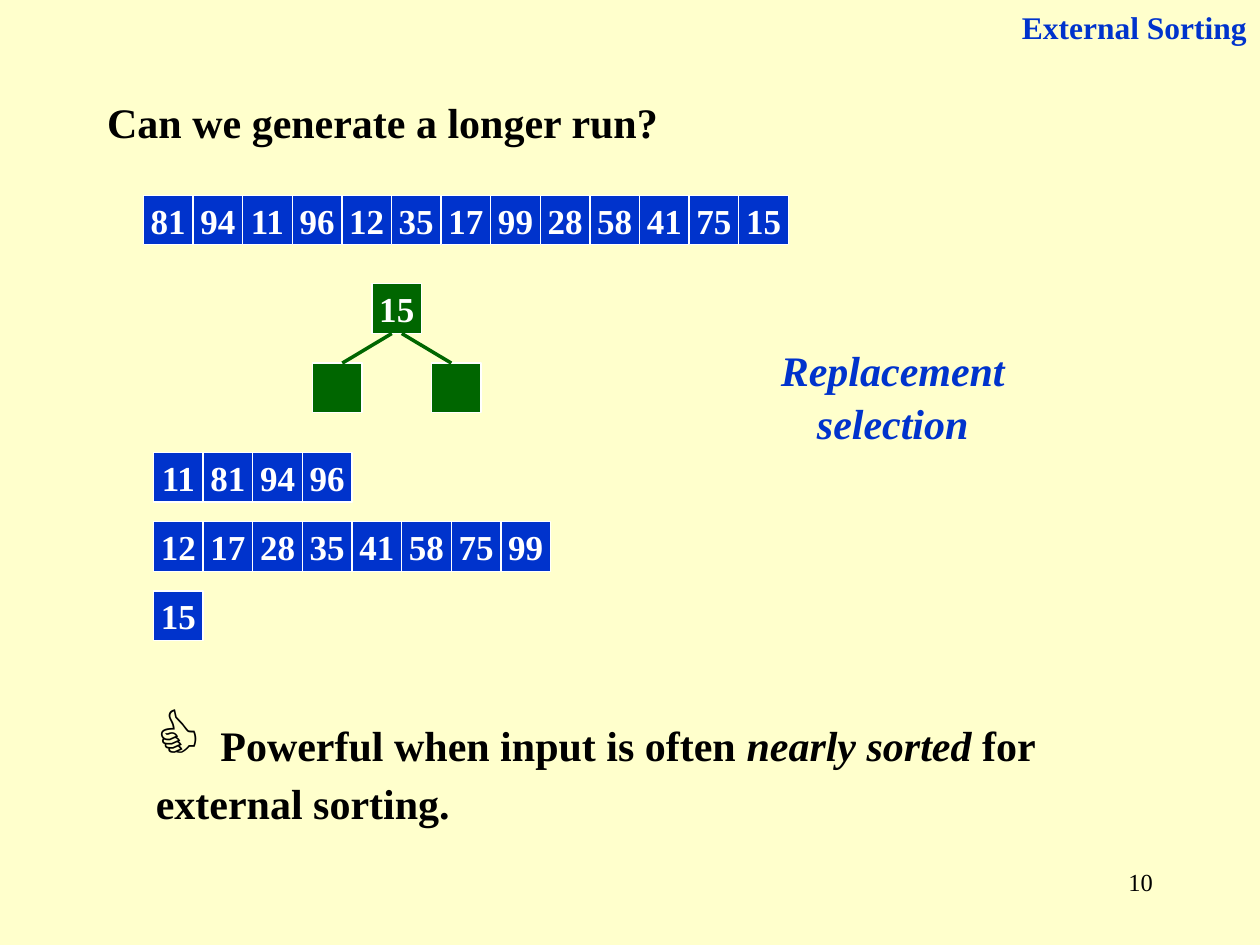
from dataclasses import dataclass

from pptx import Presentation
from pptx.dml.color import RGBColor
from pptx.enum.shapes import MSO_CONNECTOR as Wire, MSO_SHAPE as Kind
from pptx.enum.text import MSO_ANCHOR as Anchor, MSO_AUTO_SIZE as Fit, PP_ALIGN as Align
from pptx.oxml.ns import qn
from pptx.util import Pt
from lxml.etree import SubElement

BLUE, GREEN, WHITE, BLACK = "0033CC", "006600", "FFFFFF", "000000"
CELL = 28.35


@dataclass
class Row:
    left: float
    top: float
    keys: list[str]
    fill: str = BLUE


@dataclass
class Edge:
    start: tuple[float, float]
    end: tuple[float, float]


ROWS = [
    Row(82, 111.6, "81 94 11 96 12 35 17 99 28 58 41 75 15".split()),
    Row(87.8, 258.5, "11 81 94 96".split()),
    Row(87.8, 298.1, "12 17 28 35 41 58 75 99".split()),
    Row(87.8, 337.7, ["15"]),
    Row(212.6, 162.2, ["15"], GREEN),
    Row(178.6, 207.5, [""], GREEN),
    Row(246.6, 207.5, [""], GREEN),
]
EDGES = [
    Edge((223.9, 190.6), (195.6, 207.5)),
    Edge((229.6, 190.6), (257.9, 207.5)),
]


def paint(format, color: str) -> None:
    """Give a fill or line one solid colour."""
    fill = getattr(format, "fill", format)
    fill.solid()
    fill.fore_color.rgb = RGBColor.from_string(color)


def write(shape, text: str, *, size: float = 24, color: str = BLACK, bold: bool = True,
          italic: bool = False, align=Align.LEFT, space: float = 1.05) -> None:
    """Add a run of formatted text to the first paragraph of a shape."""
    para = shape.text_frame.paragraphs[0]
    para.alignment = align
    para.line_spacing = space
    run = para.add_run()
    run.text = text
    font = run.font
    font.name = "Times New Roman"
    font.size = Pt(size)
    font.bold = bold
    font.italic = italic
    paint(font, color)


def place(shape, left: float, top: float, width: float, height: float):
    """Put a shape in place and set its frame to wrap from the top."""
    shape.left, shape.top = Pt(left), Pt(top)
    shape.width, shape.height = Pt(width), Pt(height)
    frame = shape.text_frame
    frame.word_wrap = True
    frame.auto_size = Fit.NONE
    frame.vertical_anchor = Anchor.TOP
    return shape


def add_box(slide, left: float, top: float, width: float, height: float):
    """Add a text box."""
    return place(slide.shapes.add_textbox(0, 0, 0, 0), left, top, width, height)


def draw_row(slide, row: Row) -> None:
    """Draw a row of touching square cells."""
    for i, key in enumerate(row.keys):
        cell = slide.shapes.add_shape(
            Kind.RECTANGLE, Pt(row.left + i * CELL), Pt(row.top), Pt(CELL), Pt(CELL))
        cell.shadow.inherit = False
        paint(cell.fill, row.fill)
        paint(cell.line, WHITE)
        cell.line.width = Pt(0.75)
        cell.text_frame.word_wrap = False
        cell.text_frame.vertical_anchor = Anchor.MIDDLE
        if key:
            write(cell, key, size=20, color=WHITE, align=Align.CENTER, space=1)


def draw_edge(slide, edge: Edge) -> None:
    """Draw a tree edge."""
    points = [Pt(n) for n in (*edge.start, *edge.end)]
    line = slide.shapes.add_connector(Wire.STRAIGHT, *points)
    paint(line.line, GREEN)
    line.line.width = Pt(2)
    SubElement(line._element.spPr, qn("a:effectLst"))


def main() -> None:
    """Build the slide and save it."""
    deck = Presentation()
    deck.slide_width, deck.slide_height = Pt(720), Pt(540)
    slide = deck.slides.add_slide(deck.slide_layouts[5])
    paint(slide.background.fill, "FFFFCC")

    title = place(slide.shapes.title, 54, 50, 368.6, 36)
    write(title, "Can we generate a longer run?")
    topic = add_box(slide, 547.2, 0, 172.4, 28.8)
    write(topic, "External Sorting", size=18, color=BLUE, align=Align.RIGHT)
    number = add_box(slide, 516, 492, 150, 36)
    write(number, "10", size=14, bold=False, align=Align.RIGHT, space=1)

    for row in ROWS:
        draw_row(slide, row)
    for edge in EDGES:
        draw_edge(slide, edge)

    method = add_box(slide, 405.4, 191.8, 209.5, 64.8)
    write(method, "Replacement selection", color=BLUE, italic=True, align=Align.CENTER)
    note = add_box(slide, 82, 389, 584, 84)
    write(note, "👍 ", size=40)
    write(note, "Powerful when input is often ")
    write(note, "nearly sorted", italic=True)
    write(note, " for external sorting.")

    deck.save("out.pptx")


if __name__ == "__main__":
    main()
